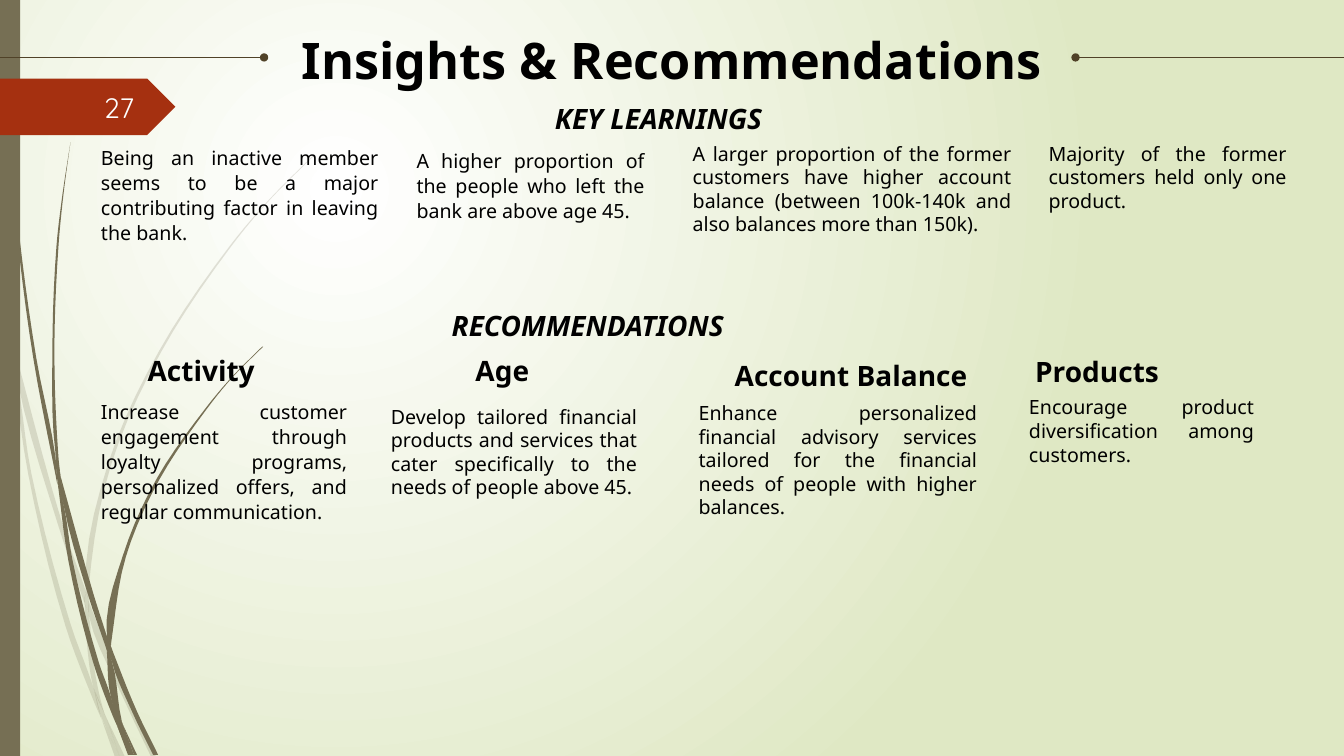
from dataclasses import dataclass

from lxml.etree import SubElement
from pptx import Presentation
from pptx.dml.color import RGBColor
from pptx.enum.shapes import MSO_CONNECTOR, MSO_SHAPE
from pptx.enum.text import MSO_ANCHOR, MSO_AUTO_SIZE, PP_ALIGN
from pptx.oxml.ns import qn
from pptx.util import Inches, Pt

COLORS = {"ink": "000000", "number": "FEFFFF", "grass": "766F54", "tag": "A53010",
          "rule": "504228", "glow": "FFFFFF", "edge": "DFE8C4"}
COLUMNS, ROWS = 133.33, 75
RULE_ROW = 5.7
SAMPLES = 5
Points = list[tuple[float, float]]


@dataclass
class Words:
    text: str
    column: float
    row: float
    columns: float
    rows: float
    size: float = 14
    align: PP_ALIGN = PP_ALIGN.JUSTIFY
    bold: bool = False
    italic: bool = False
    spacing: float = 1.0
    after: float = 0
    inset: bool = True
    font: str = "Noto Sans"
    color: str = "ink"
    anchor: MSO_ANCHOR = MSO_ANCHOR.TOP
    grow: bool = True


@dataclass
class Blade:
    left: Points
    right: Points


@dataclass
class Rule:
    start: float
    end: float
    dot: str


def section(text: str, column: float, row: float, align: PP_ALIGN) -> Words:
    return Words(text, column, row, 66.8, 4.4, 20, align, bold=True, italic=True)


def heading(text: str, column: float, row: float, columns: float) -> Words:
    return Words(text, column, row, columns, 3.4, 20, PP_ALIGN.CENTER, bold=True, inset=False)


def airy(text: str, column: float, row: float, columns: float, rows: float) -> Words:
    return Words(text, column, row, columns, rows, spacing=1.07, after=8)


TITLE = Words("Insights & Recommendations", 2.5, 3.55, 128.3, 5.5, 36, PP_ALIGN.CENTER,
              bold=True, spacing=0.9, inset=False)
WORDS = [
    Words("27", 5.8, 8.6, 8.5, 4, 20, PP_ALIGN.RIGHT, font="Quicksand", color="number",
          anchor=MSO_ANCHOR.MIDDLE, grow=False),
    section("KEY LEARNINGS", 31.93, 9.6, PP_ALIGN.CENTER),
    airy("Being an inactive member seems to be a major contributing factor in leaving the bank.",
         9.03, 13.8, 29.5, 10.9),
    airy("A higher proportion of the people who left the bank are above age 45.",
         40.34, 14.1, 24.6, 10.9),
    Words("A larger proportion of the former customers have higher account balance "
          "(between 100k-140k and also balances more than 150k).", 67.74, 13.56, 33.6, 12.8),
    Words("Majority of the former customers held only one product.", 103.04, 13.58, 25.6, 8.1),
    section("RECOMMENDATIONS", 43.83, 30.1, PP_ALIGN.LEFT),
    heading("Activity", 7.96, 35.1, 24),
    heading("Age", 42.63, 35.1, 14.4),
    heading("Account Balance", 70.13, 35.54, 28.6),
    Words("Products", 101.7, 34.64, 15.8, 4.4, 20, PP_ALIGN.LEFT, bold=True),
    airy("Increase customer engagement through loyalty programs, personalized offers, "
         "and regular communication.", 9.03, 39, 26.4, 13.4),
    Words("Develop tailored financial products and services that cater specifically "
          "to the needs of people above 45.", 37.8, 39.66, 26.4, 12.8),
    Words("Enhance personalized financial advisory services tailored for the financial "
          "needs of people with higher balances.", 68.33, 39.28, 29.6, 12.8),
    Words("Encourage product diversification among customers.", 101.1, 38.73, 24.3, 8.1),
]
RULES = [Rule(106.7, COLUMNS, "headEnd"), Rule(0, 26.2, "tailEnd")]
PALE_BLADES = [
    Blade([(0, 29.9), (1, 34.4), (1.1, 35)], [(0, 28.2), (0.9, 32.2), (1.1, 35)]),
    Blade([(1.4, 34.5), (1.7, 37.6), (5.8, 52.2), (8.4, 59.9)], [(1.4, 34.5), (6.2, 52), (8.5, 58.6)]),
    Blade([(8.8, 59.6), (8.8, 61), (12.3, 69.4), (15, 75.1)],
          [(8.8, 59.6), (9.2, 60.7), (12.7, 69.2), (15.5, 75.1)]),
    Blade([(10.5, 71.1), (11.9, 75.1)], [(10.5, 71.1), (12.4, 75.1)]),
    Blade([(1.1, 35), (2.8, 47), (6.5, 62.1), (9.2, 69.3), (10.1, 71.4)],
          [(1.1, 35), (1.7, 37.6), (3.1, 46.9), (7, 61.9), (9.3, 68.3), (10.1, 71.4)]),
    Blade([(8.4, 59.9), (8.7, 64.6), (9.3, 68.3), (10.5, 71.1)],
          [(8.4, 59.9), (8.8, 61), (9.1, 64.6), (10.3, 70.6), (10.5, 71.1)]),
    Blade([(31.2, 15.3), (26.8, 19.7), (22.8, 24.4), (15.8, 34.8), (10.7, 46.1), (8.5, 58.4), (8.8, 59.6)],
          [(31.2, 15.4), (26.8, 19.8), (22.9, 24.5), (16, 34.9), (11, 46.2), (8.8, 58.4), (8.8, 59.6)]),
    Blade([(10.1, 71.4), (11.4, 75.1)], [(10.1, 71.4), (11.9, 75.1)]),
    Blade([(8.5, 58.6), (8.4, 59.9), (8.8, 60.8)], [(8.5, 58.6), (8.8, 59.6), (8.8, 61)]),
    Blade([(9.3, 68.3), (9.9, 70.7), (11.9, 75.1)], [(9.3, 68.3), (10.5, 71.1), (11.9, 75.1)]),
]
DARK_BLADES = [
    Blade([(0.3, 0), (0.7, 11), (1.7, 23.3), (3.3, 35.5), (5.7, 48.1)],
          [(0.4, 0), (0.8, 10.9), (1.9, 23.2), (3.6, 35.5), (5.5, 45.3), (5.7, 48.1)]),
    Blade([(6, 47.2), (6.4, 50.5), (8.8, 59.2), (10.6, 64.5)], [(6, 47.2), (9.3, 59), (10.6, 63.1)]),
    Blade([(11, 64.1), (11.1, 65.6), (13.2, 70.8), (15.2, 74.9)],
          [(11, 64.1), (11.3, 64.9), (13.6, 70.6), (15.7, 74.9)]),
    Blade([(5.7, 47.7), (6.8, 55.7), (9.3, 65.9), (11.1, 70.8), (11.7, 72.2)],
          [(5.7, 47.7), (6.4, 50.5), (7.2, 55.6), (9.8, 65.7), (11, 69.1), (11.7, 72.2)]),
    Blade([(7, 14.1), (6.2, 19.3), (5.6, 24.5), (5.2, 34.9), (5.5, 44.9), (6, 47.2)],
          [(7, 14.1), (6.3, 19.3), (5.8, 24.5), (5.4, 34.9), (5.8, 45.3), (6, 47.2)]),
    Blade([(12.2, 71.9), (13.3, 74.9)], [(12.2, 71.9), (13.6, 74.9)]),
    Blade([(5.5, 44.9), (5.7, 47.7), (6.4, 50.5)], [(5.5, 44.9), (6, 47.2), (6.4, 50.5)]),
    Blade([(26, 34.4), (23.1, 37.3), (20.4, 40.5), (15.6, 47.4), (12.2, 55.1), (10.6, 63.1), (11, 64.1)],
          [(26.1, 34.4), (23.1, 37.4), (20.5, 40.6), (15.8, 47.6), (12.5, 55.2), (11.1, 63.3), (11, 64.1)]),
    Blade([(11.7, 72.2), (12.7, 74.9)], [(11.7, 72.2), (13.1, 74.9)]),
    Blade([(10.6, 64.5), (11, 69.1), (12.2, 71.9)], [(10.6, 64.5), (11.1, 65.6), (12.1, 71.6), (12.2, 71.9)]),
    Blade([(10.6, 63.1), (10.6, 64.5), (11.1, 65.6)], [(10.6, 63.1), (11, 64.1), (11.1, 65.6)]),
    Blade([(11, 69.1), (11.7, 72.2), (13, 74.9)], [(11, 69.1), (12.2, 71.9), (13.3, 74.9)]),
]


def cells(count: float) -> int:
    return Inches(count / 10)


def rgb(name: str) -> RGBColor:
    return RGBColor.from_string(COLORS[name])


def smooth(points: Points) -> Points:
    secants = [(x2 - x1) / (y2 - y1) for (x1, y1), (x2, y2) in zip(points, points[1:])]
    slopes = [secants[0], *((a + b) / 2 for a, b in zip(secants, secants[1:])), secants[-1]]
    curve = [points[0]]
    for (x1, y1), (x2, y2), s1, s2 in zip(points, points[1:], slopes, slopes[1:]):
        height, secant = y2 - y1, (x2 - x1) / (y2 - y1)
        for t in (step / SAMPLES for step in range(1, SAMPLES + 1)):
            bend = height * t * (1 - t) * ((s1 - secant) * (1 - t) - (s2 - secant) * t)
            curve.append((x1 + height * secant * t + bend, y1 + height * t))
    return curve


def paint(shape, color: str) -> None:
    shape.shadow.inherit = False
    shape.fill.solid()
    shape.fill.fore_color.rgb = rgb(color)
    shape.line.fill.background()


def draw_background(page) -> None:
    fill = page.background.fill
    fill.gradient()
    for stop, color in zip(fill.gradient_stops, ("glow", "edge")):
        stop.color.rgb = rgb(color)
    gradient = page.background._cSld.find(".//" + qn("a:gradFill"))
    gradient.remove(gradient.find(qn("a:lin")))
    circle = SubElement(gradient, qn("a:path"), {"path": "circle"})
    SubElement(circle, qn("a:fillToRect"), l="50000", t="50000", r="100000", b="100000")


def draw_blade(page, blade: Blade, opacity: int) -> None:
    corners = [(cells(x), cells(y)) for x, y in smooth(blade.left) + smooth(blade.right)[::-1]]
    builder = page.shapes.build_freeform(*corners[0])
    shape = builder.add_line_segments(corners[1:], close=True).convert_to_shape()
    paint(shape, "grass")
    if opacity < 100:
        SubElement(shape.fill._xPr.find(".//" + qn("a:srgbClr")), qn("a:alpha"), val=str(opacity * 1000))


def draw_block(page, kind: MSO_SHAPE, row: float, columns: float, rows: float, color: str) -> None:
    paint(page.shapes.add_shape(kind, 0, cells(row), cells(columns), cells(rows)), color)


def draw_rule(page, rule: Rule) -> None:
    start, end, row = cells(rule.start), cells(rule.end), cells(RULE_ROW)
    line = page.shapes.add_connector(MSO_CONNECTOR.STRAIGHT, start, row, end, row)
    line.line.color.rgb = rgb("rule")
    line.line.width = Pt(0.75)
    SubElement(line.line._get_or_add_ln(), qn(f"a:{rule.dot}"), type="oval")
    SubElement(line._element.spPr, qn("a:effectLst"))


def write(box, words: Words) -> None:
    box.left, box.top = cells(words.column), cells(words.row)
    box.width, box.height = cells(words.columns), cells(words.rows)
    frame = box.text_frame
    frame.text, frame.word_wrap = words.text, True
    frame.auto_size = MSO_AUTO_SIZE.SHAPE_TO_FIT_TEXT if words.grow else MSO_AUTO_SIZE.NONE
    frame.vertical_anchor = words.anchor
    if not words.inset:
        frame.margin_left = frame.margin_right = frame.margin_top = frame.margin_bottom = 0
    para = frame.paragraphs[0]
    para.alignment, para.line_spacing = words.align, words.spacing
    para.space_before, para.space_after = Pt(0), Pt(words.after)
    font = para.runs[0].font
    font.name, font.size = words.font, Pt(words.size)
    font.bold, font.italic = words.bold, words.italic
    font.color.rgb = rgb(words.color)


deck = Presentation()
deck.slide_width, deck.slide_height = cells(COLUMNS), cells(ROWS)
page = deck.slides.add_slide(deck.slide_layouts[5])
draw_background(page)
write(page.shapes.title, TITLE)
for blades, opacity in ((PALE_BLADES, 20), (DARK_BLADES, 100)):
    for blade in blades:
        draw_blade(page, blade, opacity)
draw_block(page, MSO_SHAPE.RECTANGLE, 0, 2, ROWS, "grass")
draw_block(page, MSO_SHAPE.PENTAGON, 7.8, 17.4, 5.6, "tag")
for rule in RULES:
    draw_rule(page, rule)
for words in WORDS:
    write(page.shapes.add_textbox(0, 0, 0, 0), words)
deck.save("out.pptx")
